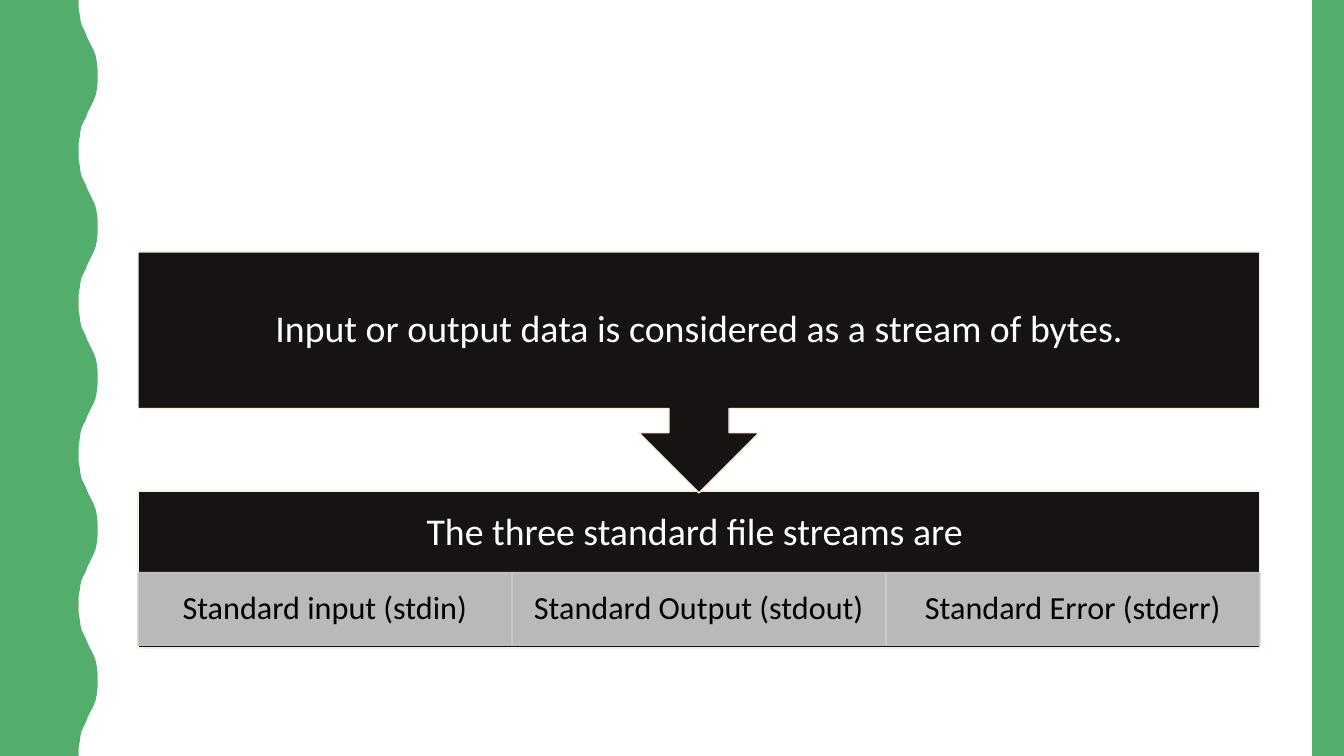
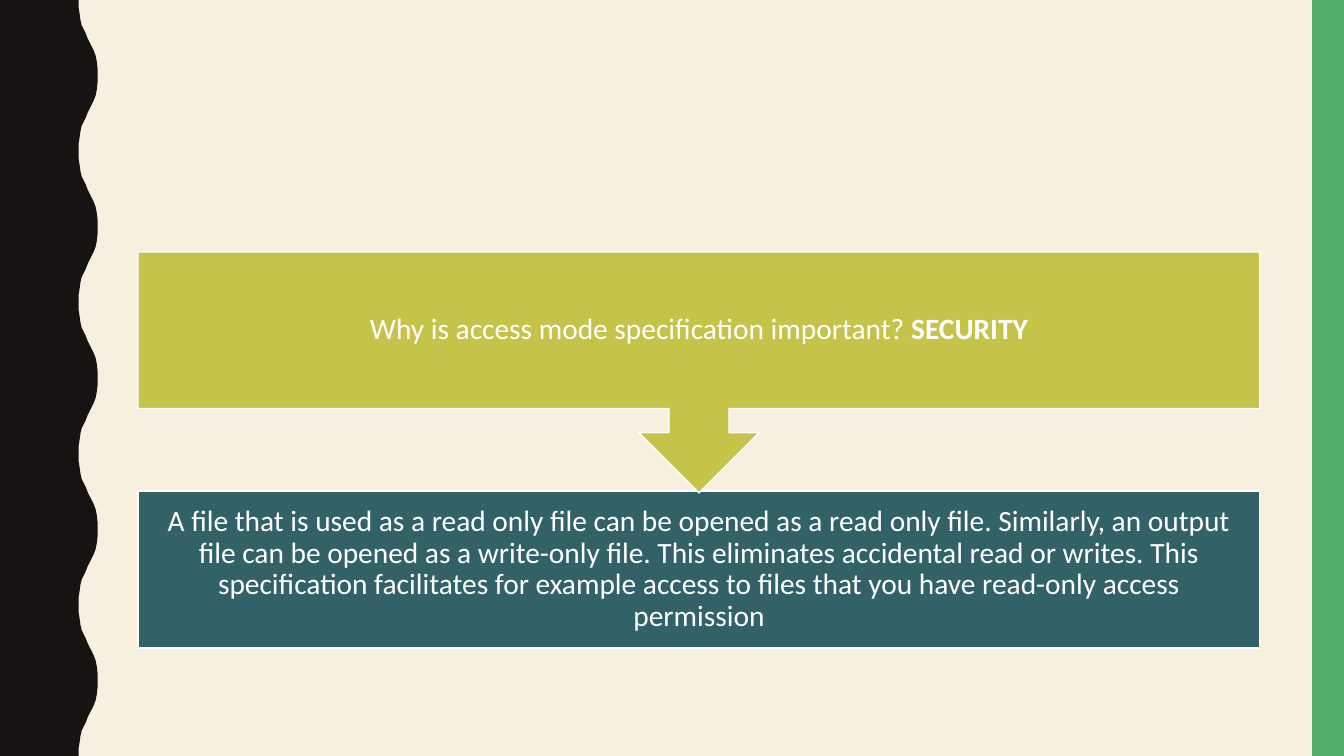
"""Build two slides on file streams and access modes, framed by a wavy band."""
from dataclasses import dataclass
from typing import Optional

from lxml import etree
from pptx import Presentation
from pptx import util as u
from pptx.dml.color import RGBColor
from pptx.enum import shapes, text
from pptx.oxml import ns

BLACK = RGBColor(0x00, 0x00, 0x00)
WHITE = RGBColor(0xFF, 0xFF, 0xFF)
INK = RGBColor(0x17, 0x13, 0x12)
CREAM = RGBColor(0xF7, 0xF0, 0xDF)
GREEN = RGBColor(0x53, 0xAE, 0x6E)
OLIVE = RGBColor(0xC5, 0xC3, 0x4A)
TEAL = RGBColor(0x32, 0x62, 0x67)
SILVER = RGBColor(0xCC, 0xCC, 0xCC)

FONT = "Calibri"
RECTANGLE = shapes.MSO_SHAPE.RECTANGLE
CALLOUT = shapes.MSO_SHAPE.DOWN_ARROW_CALLOUT

PAGE_WIDTH, PAGE_HEIGHT = 33.87, 19.05
BAR_WIDTH = 0.8
WAVE_COUNT = 5
WAVE_PERIOD = PAGE_HEIGHT / WAVE_COUNT
HALF_WAVE = (
    (1.98, 0), (1.98, 0.18), (2.01, 0.36), (2.03, 0.51), (2.06, 0.64),
    (2.11, 0.74), (2.16, 0.84), (2.21, 0.97), (2.26, 1.07), (2.31, 1.17),
    (2.36, 1.27), (2.41, 1.4), (2.44, 1.55), (2.46, 1.73), (2.46, 1.9),
)

LEFT, WIDTH = 3.48, 28.27
CALLOUT_TOP, CALLOUT_HEIGHT = 6.35, 6.07
ANSWER_TOP, ANSWER_HEIGHT = 12.37, 3.96
CELL_TOP, CELL_HEIGHT = 14.43, 1.83


@dataclass(frozen=True)
class Span:
    wording: str
    bold: bool = False


@dataclass(frozen=True)
class Box:
    left: float
    top: float
    width: float
    height: float
    fill: RGBColor
    line: Optional[RGBColor] = None
    spans: tuple[Span, ...] = ()
    size: float = 21
    color: RGBColor = WHITE
    margin_x: float = 0.41
    margin_y: float = 0.41
    space_below: float = 0
    opacity: int = 100
    kind: shapes.MSO_SHAPE = RECTANGLE


@dataclass(frozen=True)
class Page:
    background: RGBColor
    band: RGBColor
    boxes: tuple[Box, ...]


def paint(shape, fill: RGBColor, line: Optional[RGBColor], opacity: int = 100) -> None:
    shape.shadow.inherit = False
    shape.fill.solid()
    shape.fill.fore_color.rgb = fill
    if line is None:
        shape.line.fill.background()
    else:
        shape.line.color.rgb = line
        shape.line.width = u.Pt(1)
    if opacity < 100:
        for color in shape._element.spPr.iter(ns.qn("a:srgbClr")):
            etree.SubElement(color, ns.qn("a:alpha"), val=str(opacity * 1000))


def write(shape, box: Box) -> None:
    frame = shape.text_frame
    frame.word_wrap = True
    frame.vertical_anchor = text.MSO_ANCHOR.MIDDLE
    frame.margin_left = frame.margin_right = u.Cm(box.margin_x)
    frame.margin_top = u.Cm(box.margin_y)
    frame.margin_bottom = u.Cm(box.margin_y + box.space_below)
    para = frame.paragraphs[0]
    para.alignment = text.PP_ALIGN.CENTER
    para.line_spacing = 0.9
    for span in box.spans:
        run = para.add_run()
        run.text = span.wording
        run.font.name = FONT
        run.font.size = u.Pt(box.size)
        run.font.bold = span.bold
        run.font.color.rgb = box.color


def draw_box(slide, box: Box) -> None:
    shape = slide.shapes.add_shape(
        box.kind, u.Cm(box.left), u.Cm(box.top), u.Cm(box.width), u.Cm(box.height)
    )
    paint(shape, box.fill, box.line, box.opacity)
    if box.spans:
        write(shape, box)


def draw_band(slide, color: RGBColor) -> None:
    wave = HALF_WAVE + tuple((x, WAVE_PERIOD - y) for x, y in reversed(HALF_WAVE))
    edge = [(x, y + i * WAVE_PERIOD) for i in range(WAVE_COUNT) for x, y in wave]
    outline = [(u.Cm(x), u.Cm(y)) for x, y in [*edge, (0, PAGE_HEIGHT)]]
    builder = slide.shapes.build_freeform(0, 0)
    builder.add_line_segments(outline, close=True)
    paint(builder.convert_to_shape(), color, None)


def draw_page(deck, page: Page) -> None:
    slide = deck.slides.add_slide(deck.slide_layouts[6])
    slide.background.fill.solid()
    slide.background.fill.fore_color.rgb = page.background
    draw_band(slide, page.band)
    draw_box(slide, Box(PAGE_WIDTH - BAR_WIDTH, 0, BAR_WIDTH, PAGE_HEIGHT, GREEN))
    for box in page.boxes:
        draw_box(slide, box)


def question(fill: RGBColor, line: RGBColor, *spans: Span, **style) -> Box:
    return Box(LEFT, CALLOUT_TOP, WIDTH, CALLOUT_HEIGHT, fill, line, spans,
               kind=CALLOUT, **style)


def answer(fill: RGBColor, line: RGBColor, *spans: Span, **style) -> Box:
    return Box(LEFT, ANSWER_TOP, WIDTH, ANSWER_HEIGHT, fill, line, spans, **style)


def cells(*labels: str) -> tuple[Box, ...]:
    width = WIDTH / len(labels)
    return tuple(
        Box(LEFT + i * width, CELL_TOP, width, CELL_HEIGHT, SILVER, SILVER,
            (Span(label),), size=23, color=BLACK, margin_x=0.46, margin_y=0.08,
            opacity=90)
        for i, label in enumerate(labels)
    )


LARGE = dict(size=27, margin_x=0.53, margin_y=0.53)

PAGES = (
    Page(WHITE, GREEN, (
        answer(INK, CREAM, Span("The three standard file streams are "),
               space_below=CELL_HEIGHT, **LARGE),
        *cells("Standard input (stdin)", "Standard Output (stdout)",
               "Standard Error (stderr)"),
        question(INK, CREAM,
                 Span("Input or output data is considered as a stream of bytes."),
                 **LARGE),
    )),
    Page(CREAM, INK, (
        answer(TEAL, WHITE, Span(
            "A file that is used as a read only file can be opened as a read only "
            "file. Similarly, an output file can be opened as a write-only file. "
            "This eliminates accidental read or writes. This specification "
            "facilitates for example access to files that you have read-only "
            "access permission")),
        question(OLIVE, WHITE, Span("Why is access mode specification important? "),
                 Span("SECURITY", bold=True)),
    )),
)


def main() -> None:
    deck = Presentation()
    deck.slide_width = u.Cm(PAGE_WIDTH)
    deck.slide_height = u.Cm(PAGE_HEIGHT)
    for page in PAGES:
        draw_page(deck, page)
    deck.save("out.pptx")


if __name__ == "__main__":
    main()
